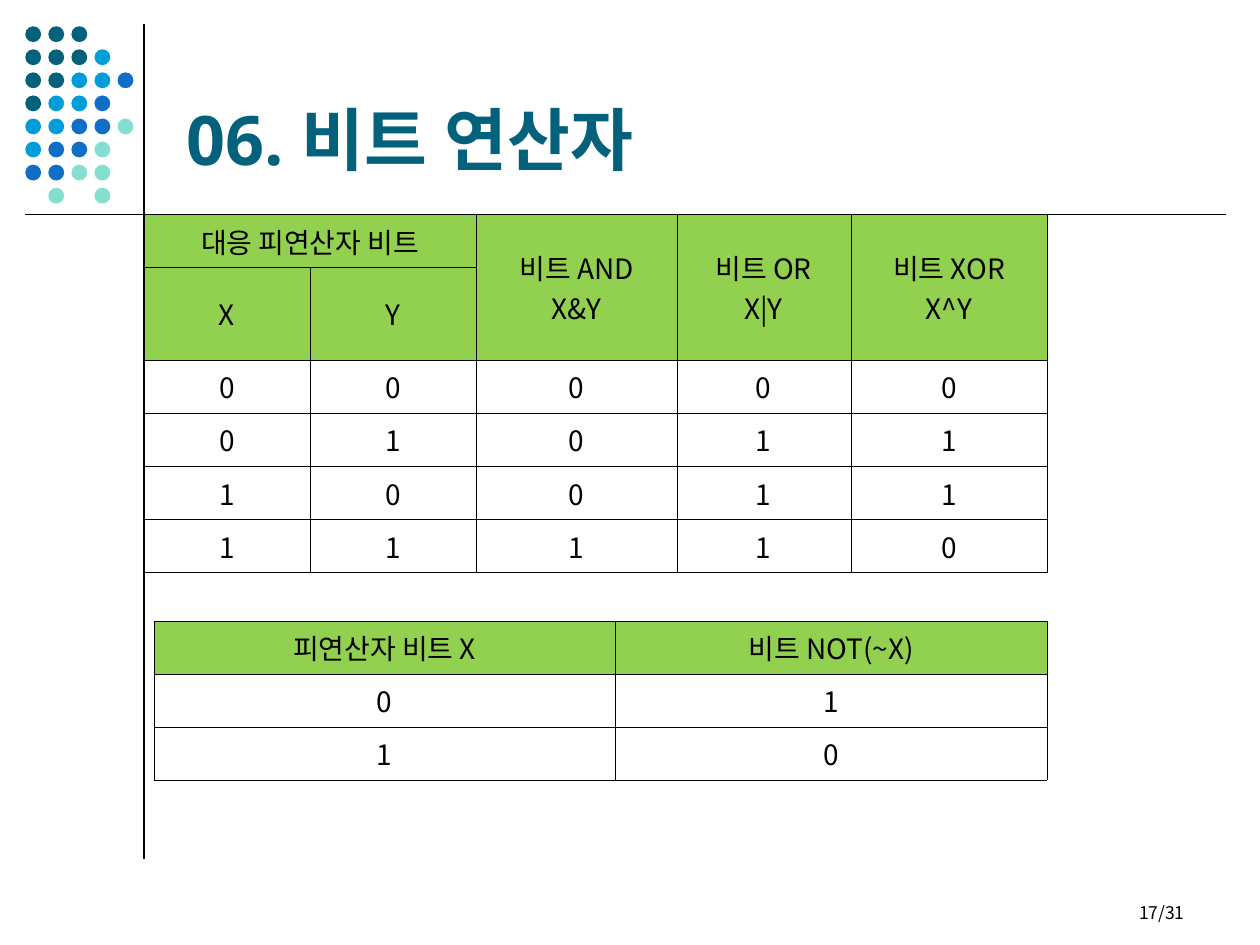
from dataclasses import dataclass

from lxml import etree
from pptx import Presentation
from pptx.dml.color import RGBColor
from pptx.enum.shapes import MSO_CONNECTOR, MSO_SHAPE
from pptx.enum.text import MSO_ANCHOR, PP_ALIGN
from pptx.oxml.ns import qn
from pptx.util import Cm, Pt

STRAIGHT = MSO_CONNECTOR.STRAIGHT
ELLIPSE = MSO_SHAPE.OVAL
TOP, MIDDLE, BOTTOM = MSO_ANCHOR.TOP, MSO_ANCHOR.MIDDLE, MSO_ANCHOR.BOTTOM
LEFT, CENTER, RIGHT = PP_ALIGN.LEFT, PP_ALIGN.CENTER, PP_ALIGN.RIGHT

BODY_FONT, TITLE_FONT = "Noto Sans CJK KR", "Noto Sans"
BLACK, TEAL, GREEN = "000000", "04617B", "92D050"

DOT_COLORS = {"D": TEAL, "B": "009DD9", "U": "0F6FC6", "M": "85DFD0"}
DOT_ROWS = ["DDD", "DDDB", "DDBBU", "DBBU", "BBUUM", "BUUM", "UUMM", ".M.M"]
DOT_LEFT, DOT_TOP, DOT_STEP, DOT_SIZE = 0.51, 0.53, 0.465, 0.32


@dataclass
class BitTable:
    left: float
    top: float
    widths: list[float]
    heights: list[float]
    rows: list[list[str]]
    header_rows: int = 1
    merges: tuple = ()


ROW = 1.07
OPERATORS = BitTable(
    left=2.9, top=4.32,
    widths=[3.35, 3.35, 4.04, 3.51, 3.96],
    heights=[ROW, 1.87] + [ROW] * 4,
    rows=[
        ["대응 피연산자 비트", "", "비트 AND\nX&Y", "비트 OR\nX|Y", "비트 XOR\nX^Y"],
        ["X", "Y", "", "", ""],
        *[[str(n) for n in (x, y, x & y, x | y, x ^ y)] for x in (0, 1) for y in (0, 1)],
    ],
    header_rows=2,
    merges=(((0, 0), (0, 1)), *(((0, c), (1, c)) for c in (2, 3, 4))),
)
NEGATION = BitTable(
    left=3.1, top=12.52,
    widths=[9.3, 8.71],
    heights=[ROW] * 3,
    rows=[["피연산자 비트 X", "비트 NOT(~X)"], ["0", "1"], ["1", "0"]],
)


def color(hex_code: str) -> RGBColor:
    return RGBColor.from_string(hex_code)


def write(frame, text: str, *, size: float = 16, font: str = BODY_FONT, ink: str = BLACK,
          bold: bool = False, align=CENTER) -> None:
    frame.text = text
    for para in frame.paragraphs:
        para.alignment = align
        for span in para.runs:
            span.font.size, span.font.name, span.font.bold = Pt(size), font, bold
            span.font.color.rgb = color(ink)
            east_asian = etree.SubElement(span.font._element, qn("a:ea"))
            east_asian.set("typeface", font)


def add_text(page, text: str, left: float, top: float, width: float, height: float,
             anchor=TOP, **style) -> None:
    box = page.shapes.add_textbox(Cm(left), Cm(top), Cm(width), Cm(height))
    box.text_frame.word_wrap = True
    box.text_frame.vertical_anchor = anchor
    write(box.text_frame, text, **style)


def add_line(page, x1: float, y1: float, x2: float, y2: float) -> None:
    line = page.shapes.add_connector(STRAIGHT, Cm(x1), Cm(y1), Cm(x2), Cm(y2))
    line.line.color.rgb = color(BLACK)
    line.line.width = Pt(0.75)
    etree.SubElement(line._element.spPr, qn("a:effectLst"))


def add_dots(page) -> None:
    group = page.shapes.add_group_shape()
    for row, codes in enumerate(DOT_ROWS):
        for column, code in enumerate(codes):
            if code not in DOT_COLORS:
                continue
            dot = group.shapes.add_shape(
                ELLIPSE, Cm(DOT_LEFT + column * DOT_STEP), Cm(DOT_TOP + row * DOT_STEP),
                Cm(DOT_SIZE), Cm(DOT_SIZE))
            dot.shadow.inherit = False
            dot.fill.solid()
            dot.fill.fore_color.rgb = color(DOT_COLORS[code])
            dot.line.fill.background()


def add_borders(cell) -> None:
    properties = cell._tc.get_or_add_tcPr()
    for side in ("lnL", "lnR", "lnT", "lnB"):
        edge = etree.SubElement(properties, qn(f"a:{side}"), w=str(Pt(0.06)))
        fill = etree.SubElement(edge, qn("a:solidFill"))
        etree.SubElement(fill, qn("a:srgbClr"), val=BLACK)


def add_bit_table(page, data: BitTable) -> None:
    table = page.shapes.add_table(
        len(data.heights), len(data.widths), Cm(data.left), Cm(data.top),
        Cm(sum(data.widths)), Cm(sum(data.heights))).table
    table.first_row = table.horz_banding = False
    for column, width in zip(table.columns, data.widths):
        column.width = Cm(width)
    for row, height in zip(table.rows, data.heights):
        row.height = Cm(height)
    for r, texts in enumerate(data.rows):
        for c, text in enumerate(texts):
            cell = table.cell(r, c)
            add_borders(cell)
            if r < data.header_rows:
                cell.fill.solid()
                cell.fill.fore_color.rgb = color(GREEN)
            else:
                cell.fill.background()
            cell.vertical_anchor = MIDDLE
            write(cell.text_frame, text)
    for first, last in data.merges:
        table.cell(*first).merge(table.cell(*last))


def main() -> None:
    deck = Presentation()
    deck.slide_width, deck.slide_height = Cm(25.4), Cm(19.05)
    page = deck.slides.add_slide(deck.slide_layouts[6])
    add_line(page, 2.9, 0.48, 2.9, 17.32)
    add_dots(page)
    add_line(page, 0.51, 4.32, 24.71, 4.32)
    add_text(page, "06. 비트 연산자", 3.51, 0.53, 20.96, 3.2, anchor=BOTTOM,
             size=39, font=TITLE_FONT, ink=TEAL, bold=True, align=LEFT)
    add_bit_table(page, OPERATORS)
    add_bit_table(page, NEGATION)
    add_text(page, "17/31", 18.21, 18.06, 5.92, 0.56, size=10, align=RIGHT)
    deck.save("out.pptx")


if __name__ == "__main__":
    main()
